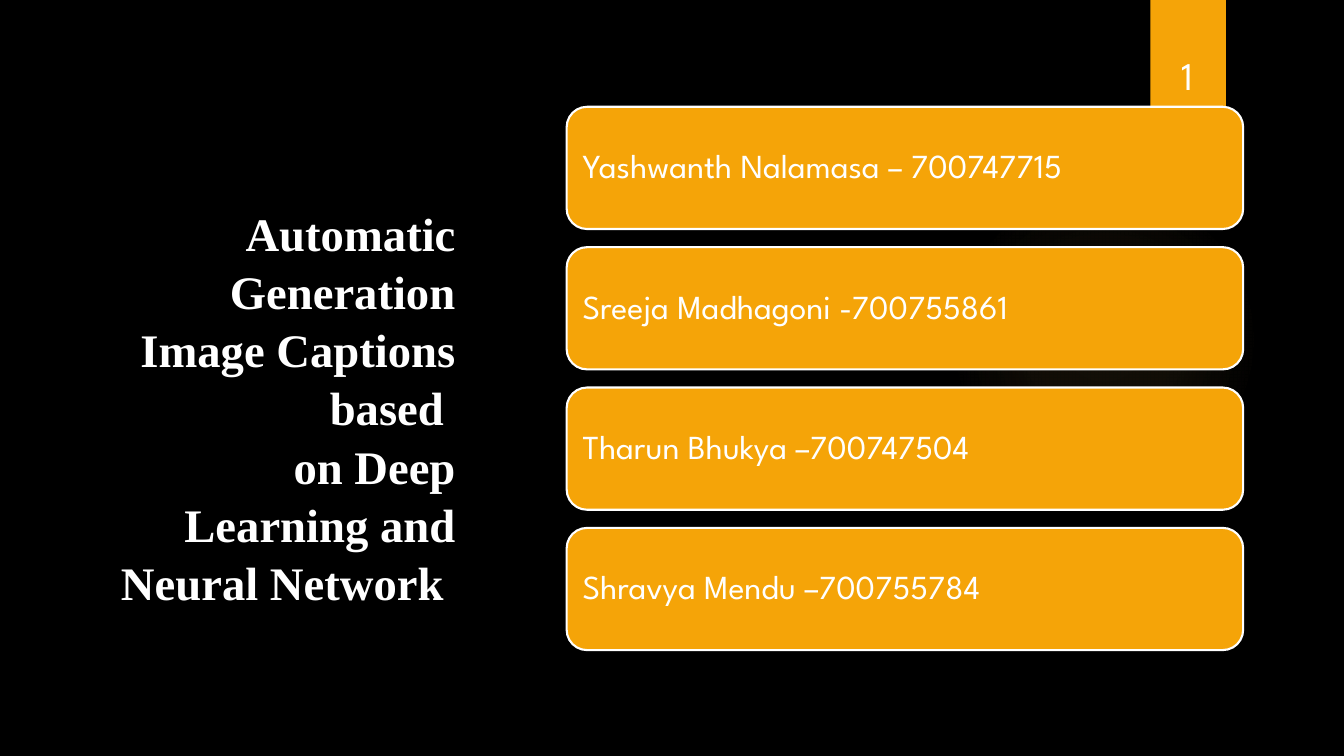
from lxml import etree
from pptx import Presentation
from pptx.dml.color import RGBColor
from pptx.enum.shapes import MSO_SHAPE
from pptx.enum.text import MSO_ANCHOR, MSO_AUTO_SIZE, PP_ALIGN
from pptx.oxml import parse_xml
from pptx.util import Inches, Pt

RECT, ROUND, OVAL = MSO_SHAPE.RECTANGLE, MSO_SHAPE.ROUNDED_RECTANGLE, MSO_SHAPE.OVAL
MIDDLE = MSO_ANCHOR.MIDDLE
LEFT, CENTER, RIGHT = PP_ALIGN.LEFT, PP_ALIGN.CENTER, PP_ALIGN.RIGHT
NO_FIT = MSO_AUTO_SIZE.NONE

BLACK, WHITE, AMBER, GLOW = "000000", "FFFFFF", "F5A408", "FAC96A"
SANS, SERIF = "League Spartan", "Times New Roman"
NS = "http://schemas.openxmlformats.org/drawingml/2006/main"

TITLE = ("Automatic Generation Image Captions based \v"
         "on Deep Learning and Neural Network ")
TEAM = [
    "Yashwanth Nalamasa – 700747715",
    "Sreeja Madhagoni -700755861",
    "Tharun Bhukya –700747504",
    "Shravya Mendu –700755784",
]


def color(text):
    return RGBColor.from_string(text)


def add_box(slide, kind, box, fill):
    shape = slide.shapes.add_shape(kind, *map(Inches, box))
    shape.shadow.inherit = False
    shape.fill.solid()
    shape.fill.fore_color.rgb = color(fill)
    shape.line.fill.background()
    return shape


def write(shape, text, face, size, align):
    """Put one white paragraph, centred vertically, into the shape."""
    frame = shape.text_frame
    frame.word_wrap = True
    frame.auto_size = NO_FIT
    frame.vertical_anchor = MIDDLE
    para = frame.paragraphs[0]
    para.text = text
    para.alignment = align
    font = para.font
    font.name, font.size = face, Pt(size)
    font.color.rgb = color(WHITE)
    return para


def add_glow(slide, box):
    """Add a faint round light that fades out from its centre."""
    shape = add_box(slide, OVAL, box, GLOW)
    stops = "".join(
        f'<a:gs pos="{pos}000"><a:srgbClr val="{GLOW}">'
        f'<a:alpha val="{alpha}000"/></a:srgbClr></a:gs>'
        for pos, alpha in [(0, 7), (36, 6), (69, 0), (100, 0)])
    grad = parse_xml(
        f'<a:gradFill xmlns:a="{NS}"><a:gsLst>{stops}</a:gsLst>'
        '<a:path path="circle"><a:fillToRect l="50000" t="50000" '
        'r="50000" b="50000"/></a:path></a:gradFill>')
    solid = shape.element.spPr.find(etree.QName(NS, "solidFill"))
    solid.getparent().replace(solid, grad)


def add_badge(slide, box):
    """Add the ribbon with the slide number near its foot."""
    left, top, width, height = box
    add_box(slide, RECT, box, AMBER)
    label = slide.shapes.add_textbox(
        Inches(left - 0.09), Inches(top + 0.32), Inches(width + 0.17), Inches(0.84))
    para = write(label, "1", SANS, 28, CENTER)
    para.space_after = Pt(6)


def add_title(slide, box):
    title = slide.shapes.title
    title.left, title.top, title.width, title.height = map(Inches, box)
    para = write(title, TITLE, SERIF, 33.3, RIGHT)
    para.font.bold = True
    para.line_spacing = 1.04
    title.text_frame.margin_top = Inches(0.61)


def add_team(slide, box):
    left, top, width, height = box
    gap = 0.18
    tall = (height - gap * (len(TEAM) - 1)) / len(TEAM)
    for row, name in enumerate(TEAM):
        card = add_box(slide, ROUND, (left, top + row * (tall + gap), width, tall), AMBER)
        card.line.color.rgb = color(WHITE)
        card.line.width = Pt(1.5)
        para = write(card, name, SANS, 24, LEFT)
        para.line_spacing = 0.9
        # The preset insets its text by about 0.06 inches at the corners
        card.text_frame.margin_left = Inches(0.1)


def main():
    deck = Presentation()
    deck.slide_width, deck.slide_height = Inches(13.33), Inches(7.5)
    slide = deck.slides.add_slide(deck.slide_layouts[5])
    back = slide.background.fill
    back.solid()
    back.fore_color.rgb = color(BLACK)
    add_glow(slide, (9.41, 1.83, 3.08, 3.08))
    add_badge(slide, (11.41, 0, 0.75, 1.25))
    add_title(slide, (1.06, 1.05, 3.56, 5.4))
    add_team(slide, (5.62, 1.06, 6.71, 5.39))
    deck.save("out.pptx")


if __name__ == "__main__":
    main()
